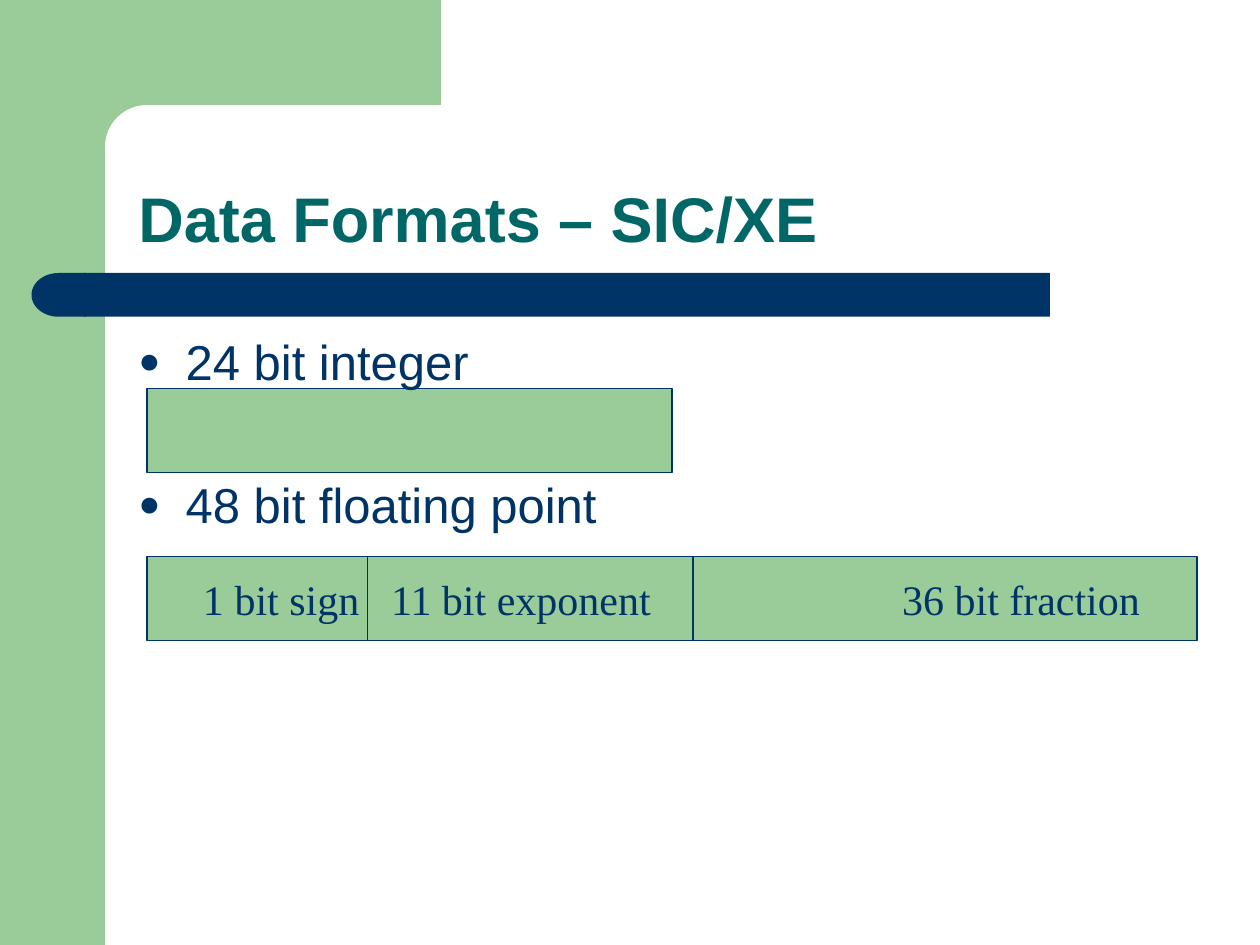
from dataclasses import dataclass

from lxml import etree
from pptx import Presentation
from pptx.dml.color import RGBColor
from pptx.enum import shapes, text
from pptx.oxml import ns
from pptx.util import Pt


@dataclass(frozen=True)
class Theme:
    green: RGBColor = RGBColor(0x99, 0xCC, 0x99)
    navy: RGBColor = RGBColor(0x00, 0x33, 0x66)
    teal: RGBColor = RGBColor(0x00, 0x66, 0x66)
    white: RGBColor = RGBColor(0xFF, 0xFF, 0xFF)
    sans: str = "Arial"
    serif: str = "Times New Roman"
    title_size: int = 36
    body_size: int = 28
    field_size: int = 24
    rule_width: float = 0.75


@dataclass(frozen=True)
class Box:
    left: float
    top: float
    width: float
    height: float

    def lengths(self) -> tuple:
        return Pt(self.left), Pt(self.top), Pt(self.width), Pt(self.height)


@dataclass(frozen=True)
class Block:
    kind: shapes.MSO_SHAPE
    box: Box
    fill: RGBColor
    outlined: bool = False
    rotation: int = 0


@dataclass(frozen=True)
class Field:
    label: str
    left: float
    label_left: float


THEME = Theme()
KIND = shapes.MSO_SHAPE
BACKDROP = [
    Block(KIND.RECTANGLE, Box(0, 0, 60, 540), THEME.green),
    Block(KIND.RECTANGLE, Box(54, 0, 198, 84), THEME.green),
    Block(KIND.ROUNDED_RECTANGLE, Box(60, 60, 402, 48), THEME.white),
    Block(KIND.RECTANGLE, Box(48, 156, 552, 25), THEME.navy),
    Block(KIND.FLOWCHART_DELAY, Box(18, 156, 31, 25), THEME.navy, rotation=180),
]
INTEGER = Block(KIND.RECTANGLE, Box(84, 222, 300, 48), THEME.green, outlined=True)
FLOAT = Block(KIND.RECTANGLE, Box(84, 318, 600, 48), THEME.green, outlined=True)
FIELDS = [
    Field("1 bit sign", 84, 116),
    Field("11 bit exponent", 210, 223.5),
    Field("36 bit fraction", 396, 515.5),
]
FORMATS = ["24 bit integer", "48 bit floating point"]
FORMAT_GAP = 47.8


def add_block(slide, block: Block):
    shape = slide.shapes.add_shape(block.kind, *block.box.lengths())
    shape.shadow.inherit = False
    shape.rotation = block.rotation
    shape.fill.solid()
    shape.fill.fore_color.rgb = block.fill
    if block.kind == KIND.ROUNDED_RECTANGLE:
        shape.adjustments[0] = 0.5
    if block.outlined:
        shape.line.color.rgb = THEME.navy
        shape.line.width = Pt(THEME.rule_width)
    else:
        shape.line.fill.background()
    return shape


def add_text_frame(slide, box: Box, anchor: text.MSO_ANCHOR):
    frame = slide.shapes.add_textbox(*box.lengths()).text_frame
    frame.word_wrap = True
    frame.vertical_anchor = anchor
    return frame


def style(paragraph, face: str, size: int, color: RGBColor, bold: bool = False) -> None:
    paragraph.alignment = text.PP_ALIGN.LEFT
    paragraph.font.name = face
    paragraph.font.size = Pt(size)
    paragraph.font.color.rgb = color
    paragraph.font.bold = bold


def add_bullet(paragraph) -> None:
    """Give the paragraph a round bullet with a hanging indent."""
    properties = paragraph._p.get_or_add_pPr()
    properties.set("marL", str(Pt(27)))
    properties.set("indent", str(-Pt(27)))
    color = etree.SubElement(properties, ns.qn("a:buClr"))
    etree.SubElement(color, ns.qn("a:srgbClr"), val=str(THEME.navy))
    etree.SubElement(properties, ns.qn("a:buSzPct"), val="75000")
    etree.SubElement(properties, ns.qn("a:buFont"), typeface=THEME.sans)
    etree.SubElement(properties, ns.qn("a:buChar"), char="●")


def add_title(slide) -> None:
    frame = add_text_frame(slide, Box(72, 60, 630, 90), text.MSO_ANCHOR.BOTTOM)
    title = frame.paragraphs[0]
    title.text = "Data Formats – SIC/XE"
    title.line_spacing = 0.9
    style(title, THEME.sans, THEME.title_size, THEME.teal, bold=True)


def add_formats(slide) -> None:
    frame = add_text_frame(slide, Box(72, 186, 630, 294), text.MSO_ANCHOR.TOP)
    for index, name in enumerate(FORMATS):
        item = frame.add_paragraph() if index else frame.paragraphs[0]
        item.text = name
        item.space_before = Pt(FORMAT_GAP if index else 0)
        add_bullet(item)
        style(item, THEME.sans, THEME.body_size, THEME.navy)


def add_field_labels(bar) -> None:
    """Write the field names on one line, each at its own tab stop."""
    start = FIELDS[0].label_left
    frame = bar.text_frame
    frame.word_wrap = True
    frame.vertical_anchor = text.MSO_ANCHOR.MIDDLE
    frame.margin_left = Pt(start - FLOAT.box.left)
    labels = frame.paragraphs[0]
    labels.text = "\t".join(field.label for field in FIELDS)
    style(labels, THEME.serif, THEME.field_size, THEME.navy)
    stops = etree.Element(ns.qn("a:tabLst"))
    for field in FIELDS[1:]:
        position = str(Pt(field.label_left - start))
        etree.SubElement(stops, ns.qn("a:tab"), pos=position, algn="l")
    labels._p.get_or_add_pPr().insert(0, stops)


def add_divider(slide, left: float) -> None:
    top, bottom = FLOAT.box.top, FLOAT.box.top + FLOAT.box.height
    divider = slide.shapes.add_connector(
        shapes.MSO_CONNECTOR.STRAIGHT, Pt(left), Pt(top), Pt(left), Pt(bottom))
    divider.line.color.rgb = THEME.navy
    divider.line.width = Pt(THEME.rule_width)
    etree.SubElement(divider._element.spPr, ns.qn("a:effectLst"))


def main() -> None:
    deck = Presentation()
    deck.slide_width, deck.slide_height = Pt(720), Pt(540)
    slide = deck.slides.add_slide(deck.slide_layouts[6])
    for block in BACKDROP:
        add_block(slide, block)
    add_title(slide)
    add_block(slide, INTEGER)
    add_formats(slide)
    add_field_labels(add_block(slide, FLOAT))
    for field in FIELDS[1:]:
        add_divider(slide, field.left)
    deck.save("out.pptx")


if __name__ == "__main__":
    main()
